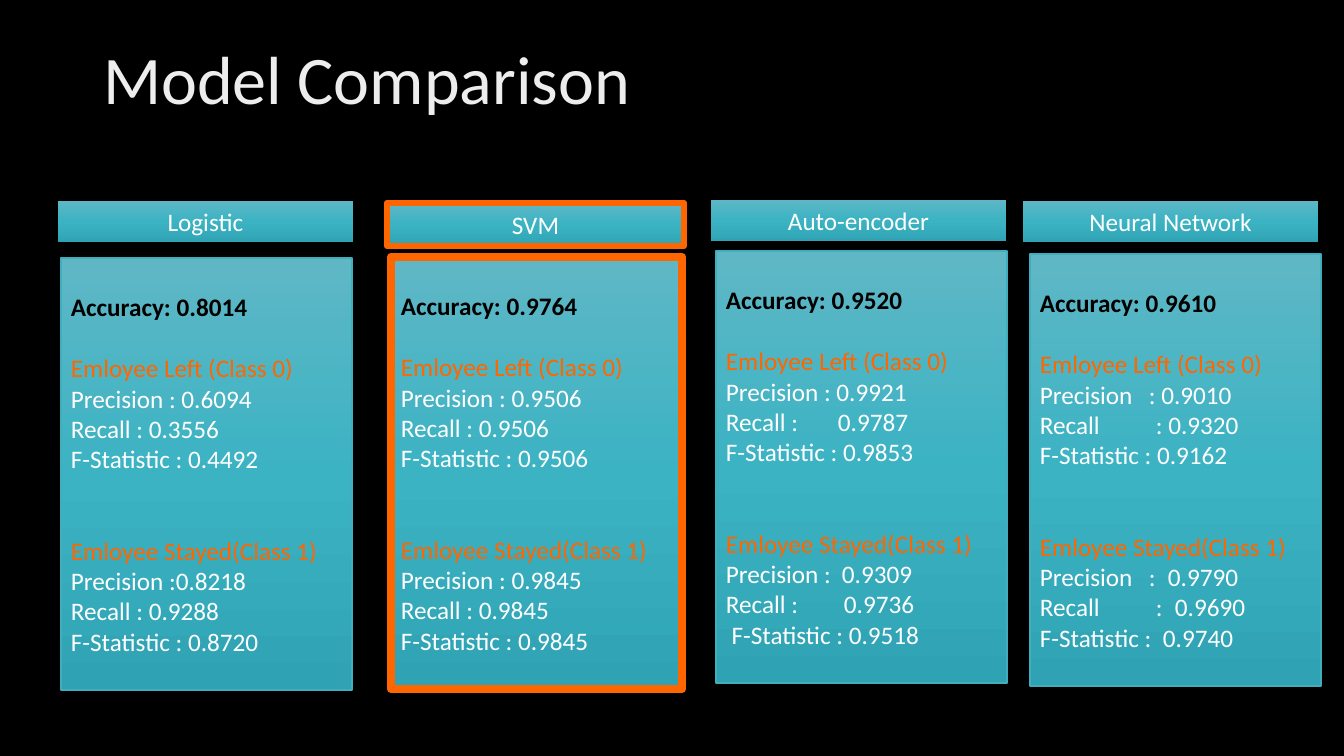
from copy import deepcopy

from lxml import etree
from pptx import Presentation
from pptx.dml.color import RGBColor
from pptx.enum.shapes import MSO_SHAPE
from pptx.enum.text import MSO_ANCHOR, PP_ALIGN
from pptx.oxml.ns import qn
from pptx.util import Pt

EMU_PER_PX = 914400 / 100.8
RECTANGLE = MSO_SHAPE.RECTANGLE
MIDDLE = MSO_ANCHOR.MIDDLE
LEFT, CENTER = PP_ALIGN.LEFT, PP_ALIGN.CENTER

BLACK = RGBColor(0x00, 0x00, 0x00)
WHITE = RGBColor(0xFF, 0xFF, 0xFF)
TITLE_GREY = RGBColor(0xED, 0xED, 0xED)
ORANGE = RGBColor(0xFF, 0x66, 0x00)
TEAL_EDGE = RGBColor(0x41, 0xAE, 0xBD)
TEAL_GRADIENT = [
    (0, RGBColor(0x5F, 0xB7, 0xC5)),
    (0.5, RGBColor(0x3B, 0xB3, 0xC3)),
    (1, RGBColor(0x2F, 0xA3, 0xB3)),
]
FONT = "Calibri"
BLANK_LINE = 22  # height of one 18 pt line, in points
HEADER_SIZE = (297, 43)
CARD_SIZE = (291, 432)

# Each metric line is its text and the tab stops (px) it uses.
MODELS = [
    {
        "name": "Logistic", "header": (57, 200), "card": (61, 258),
        "header_line": (BLACK, 1.5), "card_line": (TEAL_EDGE, 1.5),
        "accuracy": "0.8014",
        "left": [("Precision : 0.6094", []), ("Recall : 0.3556", []),
                 ("F-Statistic : 0.4492", [])],
        "stayed": [("Precision :0.8218", []), ("Recall : 0.9288", []),
                   ("F-Statistic : 0.8720", [])],
    },
    {
        "name": "SVM", "header": (387, 203), "card": (391, 257),
        "header_line": (ORANGE, 4.5), "card_line": (ORANGE, 6),
        "accuracy": "0.9764",
        "left": [("Precision : 0.9506", []), ("Recall : 0.9506", []),
                 ("F-Statistic : 0.9506", [])],
        "stayed": [("Precision : 0.9845", []), ("Recall : 0.9845", []),
                   ("F-Statistic : 0.9845", [])],
    },
    {
        "name": "Auto-encoder", "header": (710, 199), "card": (716, 251),
        "header_line": (BLACK, 1.5), "card_line": (TEAL_EDGE, 1),
        "accuracy": "0.9520",
        "left": [("Precision : 0.9921", []), ("Recall :\t0.9787", [112]),
                 ("F-Statistic : 0.9853", [])],
        "stayed": [("Precision :\t0.9309", [116]), ("Recall :\t0.9736", [118]),
                   (" F-Statistic : 0.9518", [])],
    },
    {
        "name": "Neural Network", "header": (1022, 200), "card": (1030, 254),
        "header_line": (BLACK, 1.5), "card_line": (TEAL_EDGE, 1),
        "accuracy": "0.9610",
        "left": [("Precision\t: 0.9010", [109]), ("Recall\t: 0.9320", [116]),
                 ("F-Statistic : 0.9162", [])],
        "stayed": [("Precision\t:\t0.9790", [109, 128]),
                   ("Recall\t:\t0.9690", [116, 135]),
                   ("F-Statistic :\t0.9740", [123])],
    },
]


def px(*lengths):
    return [round(length * EMU_PER_PX) for length in lengths]


def add_teal_box(position, size, outline):
    box = slide.shapes.add_shape(RECTANGLE, *px(*position, *size))
    box.shadow.inherit = False
    box.fill.gradient()
    box.fill.gradient_angle = 270
    stop_list = box._element.spPr.find(qn("a:gradFill")).find(qn("a:gsLst"))
    stop_list.append(deepcopy(stop_list[-1]))
    for stop, (position, color) in zip(box.fill.gradient_stops, TEAL_GRADIENT):
        stop.position = position
        stop.color.rgb = color
    box.line.color.rgb, width = outline
    box.line.width = Pt(width)
    box.text_frame.word_wrap = True
    box.text_frame.vertical_anchor = MIDDLE
    return box


presentation = Presentation()
presentation.slide_width, presentation.slide_height = px(1344, 756)
slide = presentation.slides.add_slide(presentation.slide_layouts[5])
slide.background.fill.solid()
slide.background.fill.fore_color.rgb = BLACK

title = slide.shapes.title
title.left, title.top, title.width, title.height = px(93, 40, 1159, 85)
title.text_frame.text = "Model Comparison"
title.text_frame.vertical_anchor = MIDDLE
paragraph = title.text_frame.paragraphs[0]
paragraph.alignment = LEFT
paragraph.line_spacing = 0.9
paragraph.font.name = FONT
paragraph.font.size = Pt(48.6)
paragraph.font.color.rgb = TITLE_GREY

for model in MODELS:
    header = add_teal_box(model["header"], HEADER_SIZE, model["header_line"])
    header.text_frame.text = model["name"]
    paragraph = header.text_frame.paragraphs[0]
    paragraph.alignment = CENTER
    paragraph.font.name = FONT
    paragraph.font.size = Pt(18)
    paragraph.font.color.rgb = WHITE

    # Text, tab stops, colour and blank lines above
    lines = [("Accuracy: " + model["accuracy"], [], BLACK, 0)]
    lines.append(("Emloyee Left (Class 0)", [], ORANGE, 1))
    lines += [(text, stops, WHITE, 0) for text, stops in model["left"]]
    lines.append(("Emloyee Stayed(Class 1)", [], ORANGE, 2))
    lines += [(text, stops, WHITE, 0) for text, stops in model["stayed"]]

    card = add_teal_box(model["card"], CARD_SIZE, model["card_line"])
    card.text_frame.text = "\n".join(line[0] for line in lines)
    for paragraph, (text, stops, color, gap) in zip(card.text_frame.paragraphs, lines):
        paragraph.alignment = LEFT
        paragraph.space_before = Pt(gap * BLANK_LINE)
        paragraph.font.name = FONT
        paragraph.font.size = Pt(18)
        paragraph.font.bold = color == BLACK
        paragraph.font.color.rgb = color
        if stops:
            tab_list = etree.Element(qn("a:tabLst"))
            for stop in px(*stops):
                etree.SubElement(tab_list, qn("a:tab"), pos=str(stop), algn="l")
            paragraph._p.pPr.find(qn("a:defRPr")).addprevious(tab_list)

presentation.save("out.pptx")
